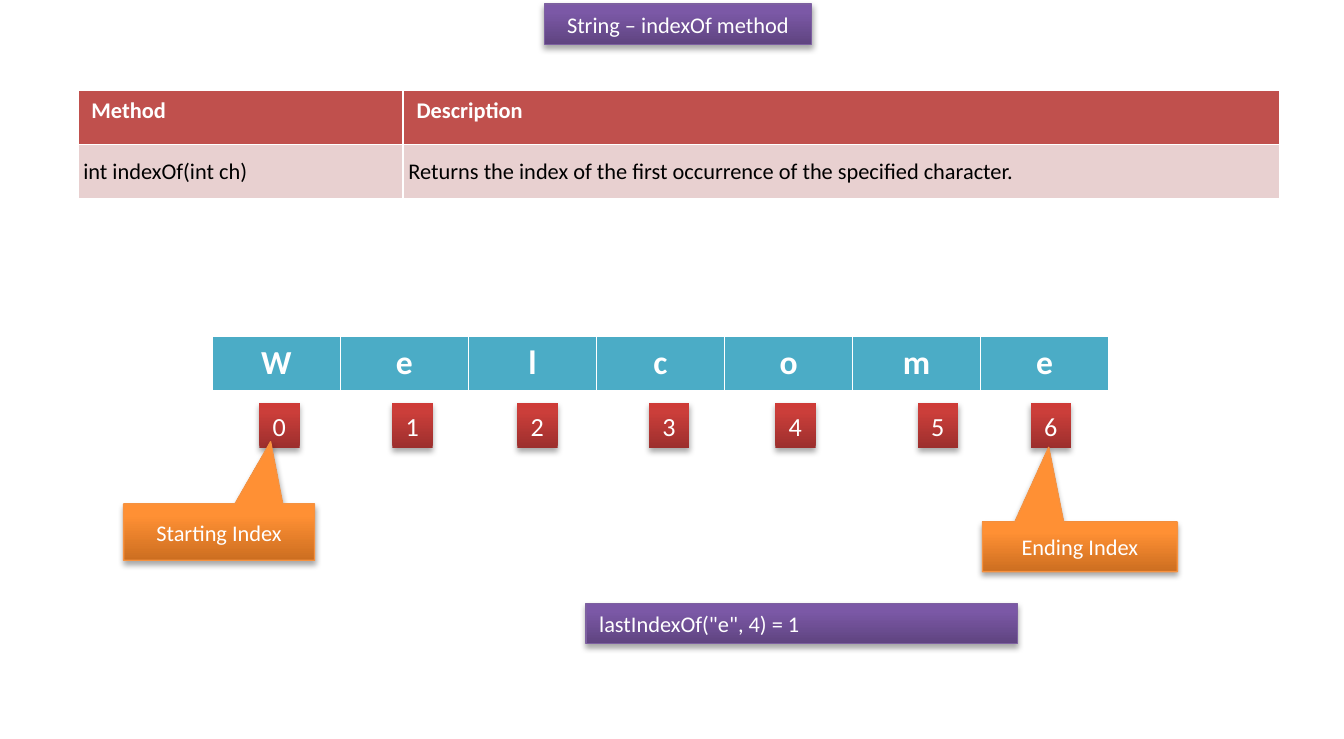
from pptx import Presentation
from pptx.dml.color import RGBColor
from pptx.enum.shapes import MSO_SHAPE
from pptx.enum.text import MSO_ANCHOR, MSO_AUTO_SIZE, PP_ALIGN
from pptx.oxml import parse_xml
from pptx.oxml.ns import nsdecls, qn
from pptx.util import Inches, Pt

INK = {
    "white": "FFFFFF", "black": "000000", "head": "C0504D", "body": "E8D0D0",
    "teal": "4BACC6", "plum edge": "7D60A0", "gold edge": "F69240",
}
FADE = {
    "plum": ("5F4480", "7B58A6", "7C57A8"),
    "red": ("9C2F2D", "CB3E3A", "CE3B37"),
    "gold": ("CC6E20", "FF9034", "FF9136"),
}
LEFT, MID = PP_ALIGN.LEFT, PP_ALIGN.CENTER

deck = Presentation()
deck.slide_width, deck.slide_height = Inches(10), Inches(5.5)
unit = deck.slide_width / 100


def write(frame, text, size, tint, align, bold=False):
    frame.text = text
    line = frame.paragraphs[0]
    line.alignment = align
    line.font.name, line.font.size, line.font.bold = "Calibri", Pt(size), bold
    line.font.color.rgb = RGBColor.from_string(INK[tint])


def dress(shape, box, fade, text, size=12, align=MID, wrap=True):
    shape.left, shape.top, shape.width, shape.height = [int(n * unit) for n in box]
    props = shape._element.spPr
    stops = "".join(
        f'<a:gs pos="{spot}"><a:srgbClr val="{tone}"/></a:gs>'
        for spot, tone in zip((0, 80000, 100000), FADE[fade]))
    props.append(parse_xml(
        f'<a:gradFill {nsdecls("a")} rotWithShape="1"><a:gsLst>{stops}</a:gsLst>'
        '<a:lin ang="16200000" scaled="0"/></a:gradFill>'))
    if f"{fade} edge" in INK:
        shape.line.color.rgb = RGBColor.from_string(INK[f"{fade} edge"])
        shape.line.width = Pt(0.75)
    else:
        shape.line.fill.background()
    shape.shadow.inherit = False
    props.find(qn("a:effectLst")).append(parse_xml(
        f'<a:outerShdw {nsdecls("a")} blurRad="40000" dist="23000" dir="5400000" '
        'rotWithShape="0"><a:srgbClr val="000000"><a:alpha val="35000"/>'
        '</a:srgbClr></a:outerShdw>'))
    frame = shape.text_frame
    write(frame, text, size, "white", align)
    frame.word_wrap, frame.auto_size = wrap, MSO_AUTO_SIZE.NONE
    frame.vertical_anchor = MSO_ANCHOR.MIDDLE


slide = deck.slides.add_slide(deck.slide_layouts[5])
shapes = slide.shapes
dress(shapes.title, (40.5, 0.3, 19.9, 3), "plum", "String – indexOf method")

facts = [
    ("Method", "Description"),
    ("int indexOf(int ch)",
     "Returns the index of the first occurrence of the specified character."),
]
grids = [
    (facts, (5.8, 6.7), (24.2, 65.2), 12, LEFT, ("head", "body")),
    (["Welcome"], (15.8, 25), [9.53] * 7, 18, MID, ("teal",)),
]
for rows, (x, y), cols, size, align, fills in grids:
    deep = 4.05
    grid = shapes.add_table(
        len(rows), len(cols), int(x * unit), int(y * unit),
        int(sum(cols) * unit), int(len(rows) * deep * unit)).table
    for col, wide in zip(grid.columns, cols):
        col.width = int(wide * unit)
    for r, row in enumerate(rows):
        for c, text in enumerate(row):
            cell = grid.cell(r, c)
            cell.fill.solid()
            cell.fill.fore_color.rgb = RGBColor.from_string(INK[fills[r]])
            write(cell.text_frame, text, size, "black" if r else "white", align, r == 0)
            if r:
                cell.vertical_anchor = MSO_ANCHOR.MIDDLE
                cell.margin_left = cell.margin_right = Inches(0.04)
                cell.margin_top = cell.margin_bottom = Inches(0.04)

for i, x in enumerate((19.3, 29.2, 38.5, 48.3, 57.7, 68.3, 76.7)):
    tile = shapes.add_shape(MSO_SHAPE.RECTANGLE, 0, 0, 0, 0)
    dress(tile, (x, 30, 3, 3.35), "red", str(i), 14, LEFT, False)

for text, box, tip in [
    ("Starting Index", (9.2, 37.5, 14.2, 4.2), (0.27, -1.6)),
    ("Ending Index", (73.1, 38.85, 14.5, 3.7), (-0.16, -2)),
]:
    call = shapes.add_shape(MSO_SHAPE.RECTANGULAR_CALLOUT, 0, 0, 0, 0)
    dress(call, box, "gold", text)
    call.adjustments[0], call.adjustments[1] = tip

note = shapes.add_shape(MSO_SHAPE.RECTANGLE, 0, 0, 0, 0)
dress(note, (43.6, 44.9, 32.1, 3), "plum", 'lastIndexOf("e", 4) = 1', align=LEFT)

deck.save("out.pptx")
